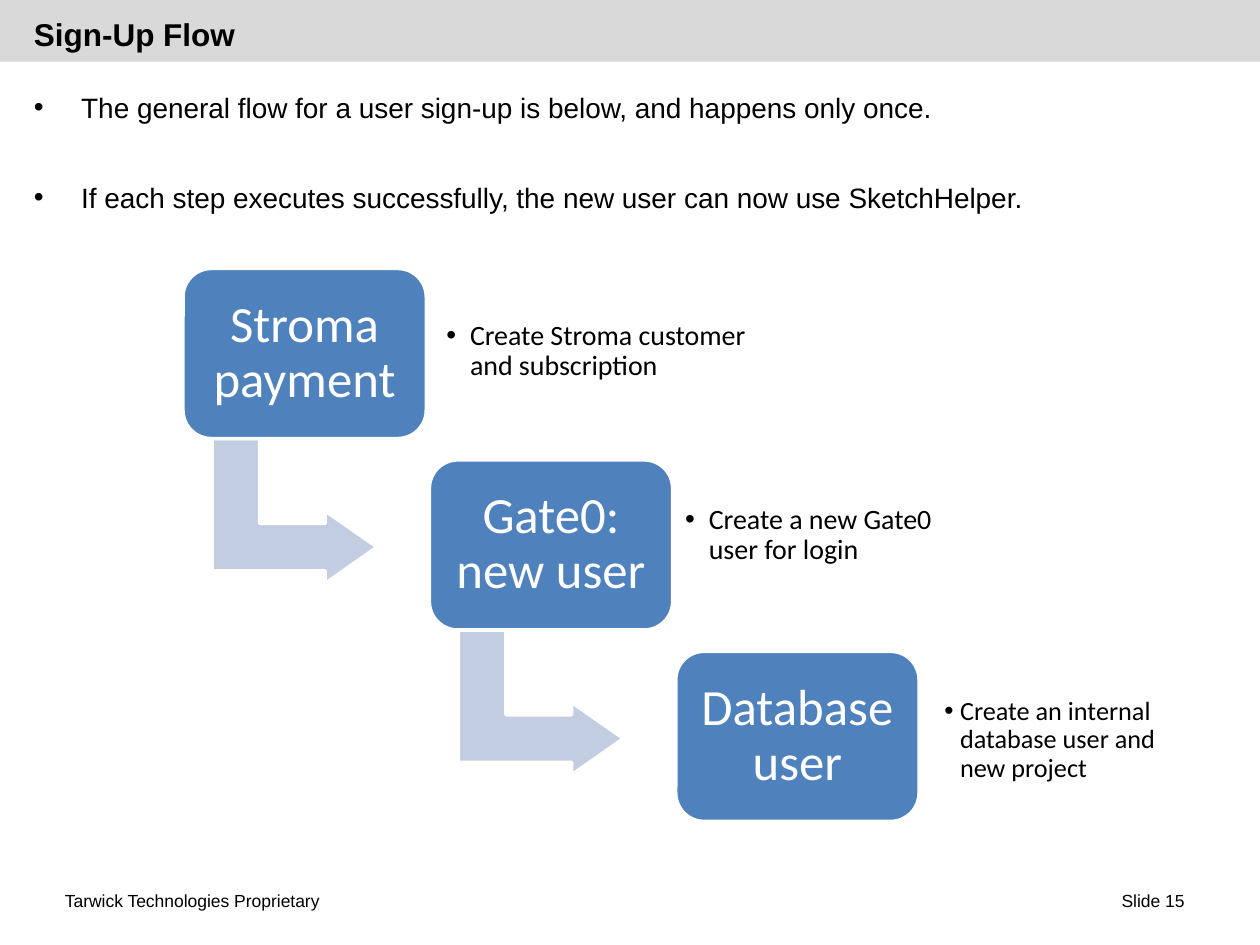
import pptx
import pptx.util
import pptx.dml.color
import pptx.enum.shapes
import pptx.enum.text
import pptx.oxml.ns
import lxml.etree

Pt = pptx.util.Pt
SHAPES = pptx.enum.shapes.MSO_SHAPE
ALIGN = pptx.enum.text.PP_ALIGN
ANCHOR = pptx.enum.text.MSO_ANCHOR

STEP_WIDTH, STEP_HEIGHT = 139, 97.2
STEP_RIGHT, STEP_DOWN = 140.8, 109.4

STEPS = [
    ("Stroma payment", "Create Stroma customer and subscription",
     (144, 21.6, 207.4, 51.8), 16, 13.5, 6.5),
    ("Gate0: new user", "Create a new Gate0 user for login",
     (139.7, 16.6, 161.3, 53.3), 16, 13.5, 6.5),
    ("Database user", "Create an internal database user and new project",
     (147.6, 11.5, 139, 78.5), 15, 9, 5.8),
]


def color(hex_string):
    return pptx.dml.color.RGBColor.from_string(hex_string)


def place(shape, box):
    shape.left, shape.top, shape.width, shape.height = map(Pt, box)


def prepare_frame(frame, anchor, inset=None):
    frame.word_wrap = True
    frame.auto_size = pptx.enum.text.MSO_AUTO_SIZE.NONE
    frame.vertical_anchor = anchor
    if inset is not None:
        frame.margin_left = frame.margin_right = Pt(inset)
        frame.margin_top = frame.margin_bottom = Pt(inset)


def write(paragraph, text, size, font="Arial", hex_string="000000", bold=False, align=ALIGN.LEFT):
    paragraph.alignment = align
    run = paragraph.add_run()
    run.text = text
    run.font.size = Pt(size)
    run.font.name = font
    run.font.bold = bold
    run.font.color.rgb = color(hex_string)


def add_bullet(paragraph, indent):
    properties = paragraph._p.get_or_add_pPr()
    properties.set("marL", str(Pt(indent)))
    properties.set("indent", str(-Pt(indent)))
    for tag, key, value in (("a:buFont", "typeface", "Arial"), ("a:buChar", "char", "•")):
        lxml.etree.SubElement(properties, pptx.oxml.ns.qn(tag)).set(key, value)


def add_block(slide, preset, box, fill, line=None):
    block = slide.shapes.add_shape(preset, *map(Pt, box))
    block.shadow.inherit = False
    block.fill.solid()
    block.fill.fore_color.rgb = color(fill)
    if line:
        block.line.color.rgb = color(line)
        block.line.width = Pt(2)
    else:
        block.line.fill.background()
    return block


def add_header(slide, box):
    left, top, width, height = box
    band = add_block(slide, SHAPES.RECTANGLE, box, "D9D9D9")
    slide.shapes._spTree.insert(2, band._element)
    title = slide.shapes.title
    place(title, (left + 12.2, top + 6.5, 648, 26.6))
    prepare_frame(title.text_frame, ANCHOR.MIDDLE)
    write(title.text_frame.paragraphs[0], "Sign-Up Flow", 18, bold=True)


def add_introduction(slide, box):
    introduction = slide.placeholders[1]
    place(introduction, box)
    frame = introduction.text_frame
    prepare_frame(frame, ANCHOR.TOP)
    statements = [
        ("The general flow for a user sign-up is below, and happens only once.", 6),
        ("If each step executes successfully, the new user can now use SketchHelper.", 32),
    ]
    for index, (statement, gap) in enumerate(statements):
        paragraph = frame.add_paragraph() if index else frame.paragraphs[0]
        write(paragraph, statement, 16)
        paragraph.space_before = Pt(gap)
        add_bullet(paragraph, 27)


def add_step(slide, box, name):
    step = add_block(slide, SHAPES.ROUNDED_RECTANGLE, box, "4F81BD", "FFFFFF")
    step.adjustments[0] = 0.167
    prepare_frame(step.text_frame, ANCHOR.MIDDLE, 8.6)
    paragraph = step.text_frame.paragraphs[0]
    write(paragraph, name, 29, "Calibri", "FFFFFF", align=ALIGN.CENTER)
    paragraph.line_spacing = 0.9


def add_detail(slide, box, text, size, indent, inset):
    detail = slide.shapes.add_textbox(*map(Pt, box))
    prepare_frame(detail.text_frame, ANCHOR.MIDDLE, inset)
    paragraph = detail.text_frame.paragraphs[0]
    write(paragraph, text, size, "Calibri")
    paragraph.line_spacing = 0.9
    add_bullet(paragraph, indent)


def add_turn(slide, box):
    turn = add_block(slide, SHAPES.BENT_UP_ARROW, box, "C2CDE1", "FFFFFF")
    turn.rotation = 90
    for index, value in enumerate((0.328, 0.25, 0.358)):
        turn.adjustments[index] = value


def add_flow(slide, left, top):
    for index, (name, text, offset, size, indent, inset) in enumerate(STEPS):
        x, y = left + index * STEP_RIGHT, top + index * STEP_DOWN
        if index < len(STEPS) - 1:
            add_turn(slide, (x + 22.3, y + 91.4, 82.8, 94.3))
        add_step(slide, (x, y, STEP_WIDTH, STEP_HEIGHT), name)
        dx, dy, width, height = offset
        add_detail(slide, (x + dx, y + dy, width, height), text, size, indent, inset)


def add_footer(slide, box):
    left, top, width, height = box
    page_width = 168
    notes = [
        ("Tarwick Technologies Proprietary", left, 228, ALIGN.LEFT),
        ("Slide 15", left + width - page_width, page_width, ALIGN.RIGHT),
    ]
    for text, x, text_width, align in notes:
        note = slide.shapes.add_textbox(*map(Pt, (x, top, text_width, height)))
        prepare_frame(note.text_frame, ANCHOR.MIDDLE)
        write(note.text_frame.paragraphs[0], text, 10, align=align)


def main():
    presentation = pptx.Presentation()
    presentation.slide_width, presentation.slide_height = Pt(720), Pt(540)
    slide = presentation.slides.add_slide(presentation.slide_layouts[1])
    add_header(slide, (0, -0.7, 720, 36))
    add_introduction(slide, (12.2, 48.2, 672, 426))
    add_flow(slide, 104.6, 153.4)
    add_footer(slide, (30, 500.4, 654, 28.8))
    presentation.save("out.pptx")


if __name__ == "__main__":
    main()
